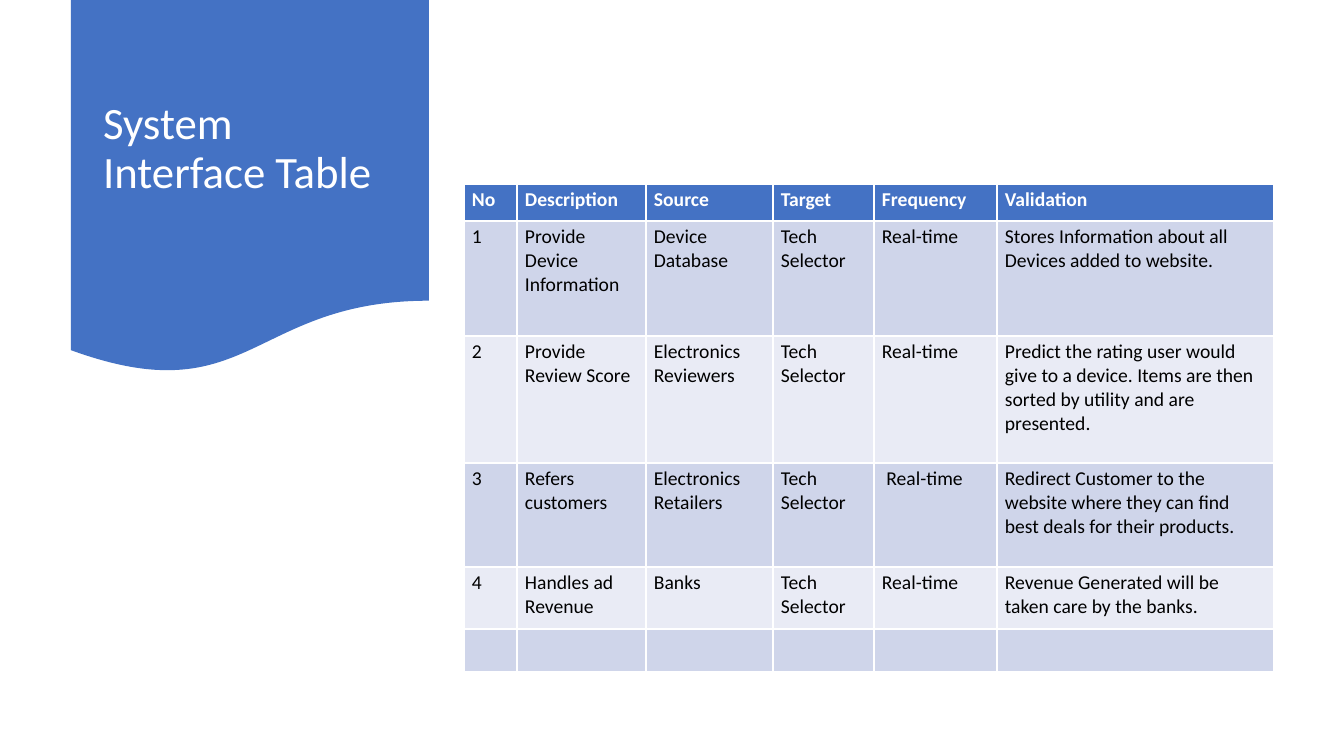
from pptx import Presentation
from pptx.dml.color import RGBColor
from pptx.enum.shapes import MSO_SHAPE as Shape
from pptx.enum.text import MSO_ANCHOR as Anchor, MSO_AUTO_SIZE as AutoSize, PP_ALIGN as Align
from pptx.util import Emu, Pt

TITLE = "System Interface Table"
HEADINGS = ("No", "Description", "Source", "Target", "Frequency", "Validation")
INTERFACES = [
    ("1", "Provide Device Information", "Device Database", "Tech Selector", "Real-time",
     "Stores Information about all Devices added to website."),
    ("2", "Provide Review Score", "Electronics Reviewers", "Tech Selector", "Real-time",
     "Predict the rating user would give to a device. Items are then sorted by utility and are presented."),
    ("3", "Refers customers", "Electronics Retailers", "Tech Selector", " Real-time",
     "Redirect Customer to the website where they can find best deals for their products."),
    ("4", "Handles ad Revenue", "Banks", "Tech Selector", "Real-time",
     "Revenue Generated will be taken care by the banks."),
    ("",) * len(HEADINGS),
]
ROWS = [HEADINGS, *INTERFACES]

SLIDE_SIZE = (1344, 756)
BANNER_BOX = (71, 0, 358, 375)
TITLE_BOX = (93, 19, 313, 261)
TABLE_ORIGIN = (464, 184)
COLUMN_WIDTHS = (53, 129, 127, 101, 123, 277)
ROW_HEIGHTS = (37, 115, 127, 104, 62, 43)
CELL_INSETS = {"margin_left": 8, "margin_right": 8, "margin_top": 4, "margin_bottom": 4}

BLUE = RGBColor(0x44, 0x72, 0xC4)
BAND_DARK = RGBColor(0xCF, 0xD5, 0xEA)
BAND_LIGHT = RGBColor(0xE9, 0xEB, 0xF5)
WHITE = RGBColor(0xFF, 0xFF, 0xFF)
BLACK = RGBColor(0, 0, 0)

TITLE_FONT = {"name": "Calibri", "size": Pt(32), "bold": False}
HEADING_FONT = {"name": "Calibri", "size": Pt(14), "bold": True}
BODY_FONT = {**HEADING_FONT, "bold": False}


def px(length):
    return Emu(round(length * 914400 / 100.8))


def set_values(target, values):
    for name, value in values.items():
        setattr(target, name, value)


def format_font(font, values, color):
    set_values(font, values)
    font.color.rgb = color


def add_banner(slide):
    banner = slide.shapes.add_shape(Shape.FLOWCHART_DOCUMENT, *map(px, BANNER_BOX))
    banner.shadow.inherit = False
    banner.fill.solid()
    banner.fill.fore_color.rgb = BLUE
    banner.line.fill.background()
    return banner


def place_title(slide, banner):
    title = slide.shapes.title
    set_values(title, dict(zip(("left", "top", "width", "height"), map(px, TITLE_BOX))))
    frame = title.text_frame
    frame.text = TITLE
    set_values(frame, {"word_wrap": True, "auto_size": AutoSize.NONE, "vertical_anchor": Anchor.MIDDLE})
    paragraph = frame.paragraphs[0]
    set_values(paragraph, {"alignment": Align.LEFT, "line_spacing": 0.9, "space_after": Pt(6)})
    format_font(paragraph.runs[0].font, TITLE_FONT, WHITE)
    banner.element.addnext(title.element)


def add_interface_table(slide):
    size = (sum(COLUMN_WIDTHS), sum(ROW_HEIGHTS))
    table = slide.shapes.add_table(len(ROWS), len(HEADINGS), *map(px, TABLE_ORIGIN + size)).table
    for column, width in zip(table.columns, COLUMN_WIDTHS):
        column.width = px(width)
    for index, (row, height, texts) in enumerate(zip(table.rows, ROW_HEIGHTS, ROWS)):
        row.height = px(height)
        if index == 0:
            fill, font, color = BLUE, HEADING_FONT, WHITE
        else:
            fill, font, color = (BAND_DARK if index % 2 else BAND_LIGHT), BODY_FONT, BLACK
        for cell, text in zip(row.cells, texts):
            set_values(cell, {side: px(inset) for side, inset in CELL_INSETS.items()})
            cell.fill.solid()
            cell.fill.fore_color.rgb = fill
            cell.text = text
            format_font(cell.text_frame.paragraphs[0].font, font, color)
            for run in cell.text_frame.paragraphs[0].runs:
                format_font(run.font, font, color)


def main():
    presentation = Presentation()
    presentation.slide_width, presentation.slide_height = map(px, SLIDE_SIZE)
    slide = presentation.slides.add_slide(presentation.slide_layouts[5])
    place_title(slide, add_banner(slide))
    add_interface_table(slide)
    presentation.save("out.pptx")


if __name__ == "__main__":
    main()
